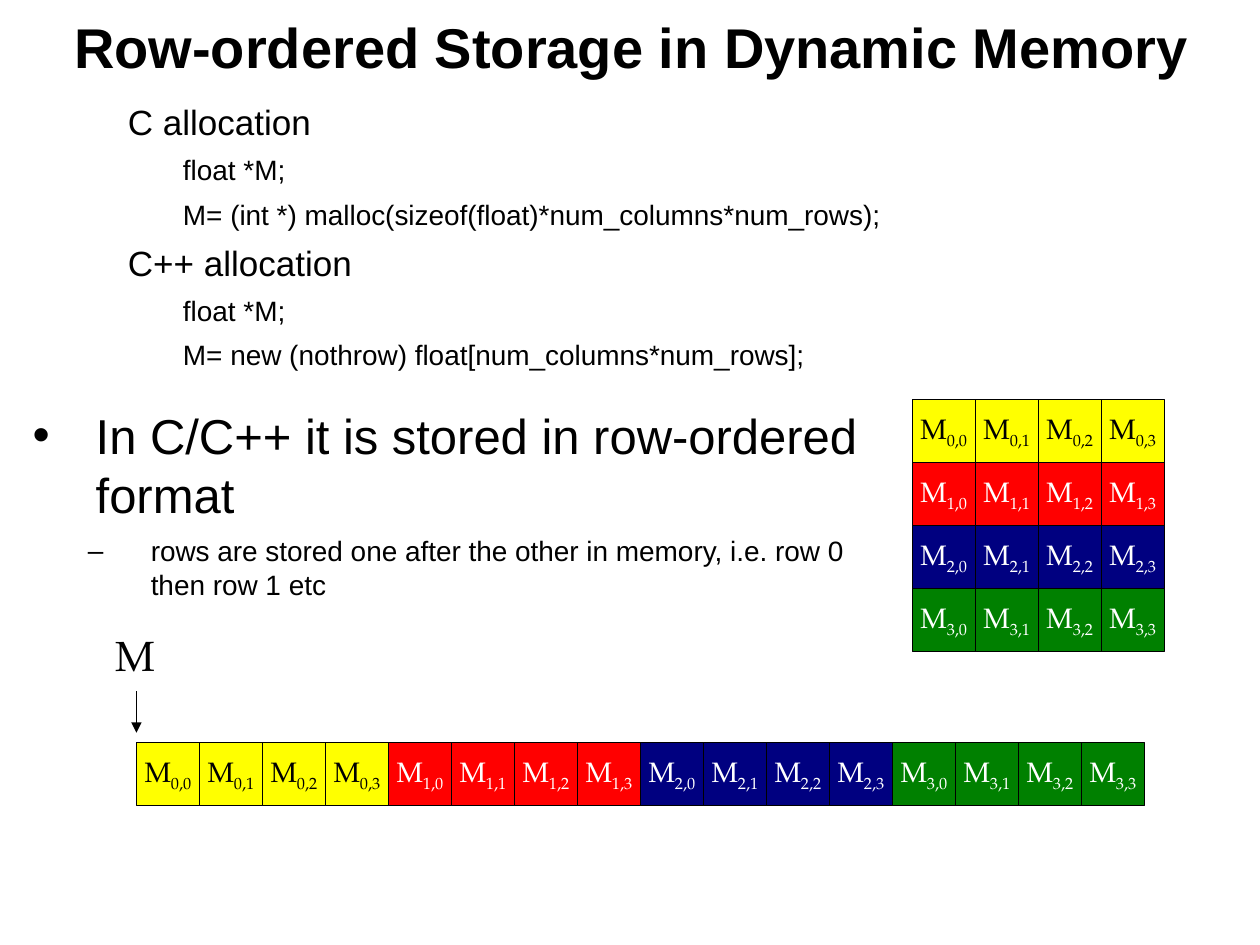
from lxml import etree
from pptx import Presentation
from pptx.dml.color import RGBColor
from pptx.enum.shapes import MSO_CONNECTOR, MSO_SHAPE
from pptx.enum.text import MSO_ANCHOR, MSO_AUTO_SIZE, PP_ALIGN
from pptx.oxml.ns import qn
from pptx.util import Cm, Pt

RECTANGLE = MSO_SHAPE.RECTANGLE
STRAIGHT = MSO_CONNECTOR.STRAIGHT
TOP, MIDDLE = MSO_ANCHOR.TOP, MSO_ANCHOR.MIDDLE
LEFT, CENTER = PP_ALIGN.LEFT, PP_ALIGN.CENTER
NO_AUTOFIT = MSO_AUTO_SIZE.NONE

SANS, SERIF = "Arial", "TeX Gyre Pagella"
BLACK, WHITE = "000000", "FFFFFF"
ROW_COLOURS = [("FFFF00", BLACK), ("FF0000", WHITE),
               ("000080", WHITE), ("008000", WHITE)]
COLUMNS = 4
CELL = 1.27

ALLOCATIONS = [
    ("C allocation",
     ["float *M;", "M= (int *) malloc(sizeof(float)*num_columns*num_rows);"]),
    ("C++ allocation",
     ["float *M;", "M= new (nothrow) float[num_columns*num_rows];"]),
]


def colour(hex_string):
    return RGBColor.from_string(hex_string)


def set_font(paragraph, name, size, hex_string=BLACK, bold=False):
    font = paragraph.font
    font.name, font.size, font.bold = name, Pt(size), bold
    font.color.rgb = colour(hex_string)


def add_title(slide, left, top, width, height):
    title = slide.shapes.title
    title.left, title.top = Cm(left), Cm(top)
    title.width, title.height = Cm(width), Cm(height)
    frame = title.text_frame
    frame.text = "Row-ordered Storage in Dynamic Memory"
    frame.word_wrap = False
    frame.auto_size = NO_AUTOFIT
    frame.vertical_anchor = TOP
    frame.margin_right = 0
    frame.paragraphs[0].alignment = LEFT
    set_font(frame.paragraphs[0], SANS, 32, bold=True)


def add_text_box(shapes, left, top, width, height, wrap=True):
    frame = shapes.add_textbox(Cm(left), Cm(top), Cm(width), Cm(height)).text_frame
    frame.word_wrap = wrap
    return frame


def add_lines(frame, lines):
    for index, (text, level, size, margin, hanging, bullet) in enumerate(lines):
        paragraph = frame.add_paragraph() if index else frame.paragraphs[0]
        paragraph.text = text
        paragraph.level = level
        paragraph.space_before = Pt(6)
        set_font(paragraph, SANS, size)
        properties = paragraph._p.get_or_add_pPr()
        properties.set("marL", str(Cm(margin)))
        properties.set("indent", str(-Cm(hanging)))
        if bullet:
            defaults = properties.find(qn("a:defRPr"))
            defaults.addprevious(etree.Element(qn("a:buFont"), typeface=SANS))
            defaults.addprevious(etree.Element(qn("a:buChar"), char=bullet))


def add_allocations(slide, left, top, width, height):
    lines = []
    for heading, statements in ALLOCATIONS:
        lines.append((heading, 1, 20, 1.11, 0, None))
        lines += [(statement, 2, 16, 2.22, 0, None) for statement in statements]
    add_lines(add_text_box(slide.shapes, left, top, width, height), lines)


def add_storage_rule(slide, left, top, width, height):
    add_lines(add_text_box(slide.shapes, left, top, width, height), [
        ("In C/C++ it is stored in row-ordered format", 0, 28, 1.27, 1.27, "•"),
        ("rows are stored one after the other in memory, i.e. row 0 then row 1 etc",
         1, 16, 2.38, 1.27, "–"),
    ])


def add_element(shapes, left, top, row, column):
    fill, text_colour = ROW_COLOURS[row]
    element = shapes.add_shape(RECTANGLE, Cm(left), Cm(top), Cm(CELL), Cm(CELL))
    element.shadow.inherit = False
    element.fill.solid()
    element.fill.fore_color.rgb = colour(fill)
    element.line.color.rgb = colour(BLACK)
    element.line.width = Pt(0.75)
    frame = element.text_frame
    frame.word_wrap = False
    frame.vertical_anchor = MIDDLE
    paragraph = frame.paragraphs[0]
    paragraph.alignment = CENTER
    set_font(paragraph, SERIF, 16, text_colour)
    paragraph.add_run().text = "M"
    subscript = paragraph.add_run()
    subscript.text = f"{row},{column}"
    subscript._r.get_or_add_rPr().set("baseline", "-25000")


def add_matrix(slide, left, top):
    shapes = slide.shapes.add_group_shape().shapes
    for row in range(len(ROW_COLOURS)):
        for column in range(COLUMNS):
            add_element(shapes, left + column * CELL, top + row * CELL, row, column)


def add_pointer(shapes, x, top, bottom):
    arrow = shapes.add_connector(STRAIGHT, Cm(x), Cm(top), Cm(x), Cm(bottom))
    arrow.line.color.rgb = colour(BLACK)
    arrow.line.width = Pt(0.75)
    etree.SubElement(arrow.line._get_or_add_ln(), qn("a:tailEnd"), type="triangle")
    etree.SubElement(arrow._element.spPr, qn("a:effectLst"))


def add_memory(slide, left, top):
    shapes = slide.shapes.add_group_shape().shapes
    cells_top = top + 2.41
    for index in range(len(ROW_COLOURS) * COLUMNS):
        row, column = divmod(index, COLUMNS)
        add_element(shapes, left + index * CELL, cells_top, row, column)
    add_pointer(shapes, left, top + 1.37, top + 2.21)
    label = add_text_box(shapes, left - 0.68, top, 1.3, 1.27, wrap=False)
    label.text = "M"
    set_font(label.paragraphs[0], SERIF, 24)


def main():
    presentation = Presentation()
    presentation.slide_width, presentation.slide_height = Cm(25.4), Cm(19.05)
    slide = presentation.slides.add_slide(presentation.slide_layouts[5])
    add_title(slide, 1.24, 0.13, 23.2, 1.63)
    add_storage_rule(slide, 0.41, 8.05, 17.58, 4.27)
    add_matrix(slide, 18.39, 8.05)
    add_memory(slide, 2.75, 12.56)
    add_allocations(slide, 1.22, 1.9, 20.37, 7.21)
    presentation.save("out.pptx")


if __name__ == "__main__":
    main()
